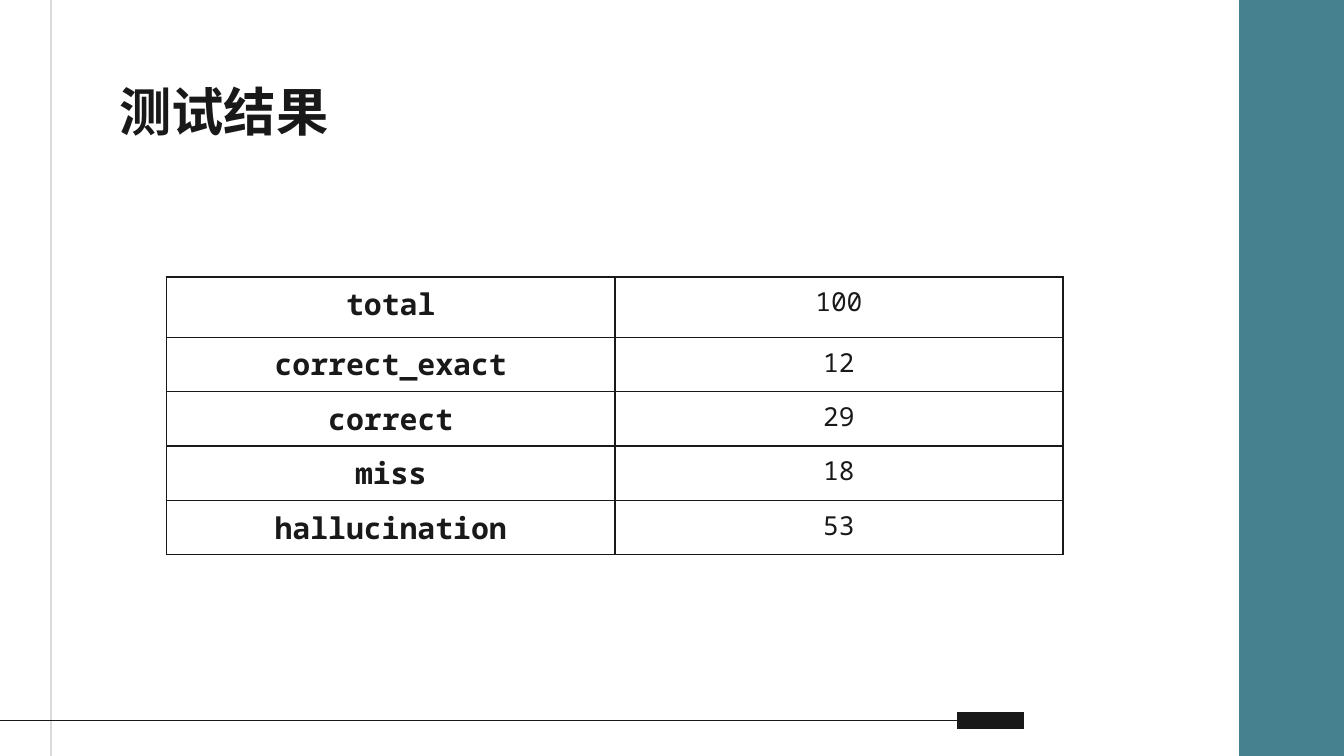
"""Build the test results slide: a title and a two-column score table."""
from lxml import etree
from pptx import Presentation
from pptx import util as u
from pptx.dml.color import RGBColor
from pptx.enum import shapes, text
from pptx.oxml import ns

TITLE = "测试结果"
RESULTS = [
    ("total", 100),
    ("correct_exact", 12),
    ("correct", 29),
    ("miss", 18),
    ("hallucination", 53),
]
COLORS = {"ink": "191919", "teal": "45818E", "rule": "D9D9D9", "paper": "FFFFFF"}
WIDTH = 10
HEIGHT = WIDTH * 9 / 16
BAND_LEFT = 9.22
TITLE_BOX = (0.79, 0.49, BAND_LEFT - 0.79, 0.63)
TABLE_BOX = (1.24, 2.06, 6.67, 2.07)
FIRST_ROW = 0.45
FOOT_Y = 5.36
RULES = [
    ((0.38, -0.04), (0.38, 5.66), "rule", 0.75),
    ((7.62, FOOT_Y), (7.12, FOOT_Y), "ink", 9),
    ((7.12, FOOT_Y), (-0.09, FOOT_Y), "ink", 0.75),
]
LABEL_STYLE, VALUE_STYLE = (16, True), (14, False)


def color(name):
    return RGBColor.from_string(COLORS[name])


def inches(values):
    return [u.Inches(value) for value in values]


def set_font(para, name, size, bold):
    para.font.name = name
    para.font.size = u.Pt(size)
    para.font.bold = bold
    para.font.color.rgb = color("ink")


def add_rule(page, start, end, tint, weight):
    rule = page.shapes.add_connector(
        shapes.MSO_CONNECTOR.STRAIGHT, *inches(start + end))
    rule.line.color.rgb = color(tint)
    rule.line.width = u.Pt(weight)
    etree.SubElement(rule._element.spPr, ns.qn("a:effectLst"))


def add_border(cell, side, weight):
    border = etree.SubElement(
        cell._tc.get_or_add_tcPr(), ns.qn(f"a:ln{side}"), w=str(u.Pt(weight)))
    fill = etree.SubElement(border, ns.qn("a:solidFill"))
    etree.SubElement(fill, ns.qn("a:srgbClr"), val=COLORS["ink"])


def border_weight(side, row, column):
    if side == "T" and row <= 1 or side == "B" and row == 0:
        return 1
    if side == "L" or side == "R" and (row == 0 or column == 0):
        return 1
    return 0.75


def add_results(page):
    frame = page.shapes.add_table(len(RESULTS), 2, *inches(TABLE_BOX))
    table = frame.table
    table.first_row = table.horz_banding = False
    other_row = (TABLE_BOX[3] - FIRST_ROW) / (len(RESULTS) - 1)
    for row, record in enumerate(RESULTS):
        table.rows[row].height = u.Inches(other_row if row else FIRST_ROW)
        for column, style in enumerate((LABEL_STYLE, VALUE_STYLE)):
            cell = table.cell(row, column)
            cell.text = str(record[column])
            para = cell.text_frame.paragraphs[0]
            para.alignment = text.PP_ALIGN.CENTER
            set_font(para, "Noto Sans Mono", *style)
            for side in "LRTB":
                add_border(cell, side, border_weight(side, row, column))
            cell.fill.solid()
            cell.fill.fore_color.rgb = color("paper")


def add_title(page):
    title = page.shapes.title
    title.left, title.top, title.width, title.height = inches(TITLE_BOX)
    frame = title.text_frame
    frame.text = TITLE
    frame.auto_size = text.MSO_AUTO_SIZE.NONE
    frame.vertical_anchor = text.MSO_ANCHOR.TOP
    frame.margin_left = frame.margin_right = u.Inches(0.1)
    frame.margin_top = frame.margin_bottom = u.Inches(0.1)
    para = frame.paragraphs[0]
    para.alignment = text.PP_ALIGN.LEFT
    set_font(para, "Manrope", 28, True)


def main():
    deck = Presentation()
    deck.slide_width, deck.slide_height = inches((WIDTH, HEIGHT))
    page = deck.slides.add_slide(deck.slide_layouts[5])
    band = page.shapes.add_shape(
        shapes.MSO_SHAPE.RECTANGLE,
        *inches((BAND_LEFT, 0, WIDTH - BAND_LEFT, HEIGHT)))
    band.shadow.inherit = False
    band.fill.solid()
    band.fill.fore_color.rgb = color("teal")
    band.line.fill.background()
    for rule in RULES:
        add_rule(page, *rule)
    add_title(page)
    add_results(page)
    deck.save("out.pptx")


if __name__ == "__main__":
    main()
